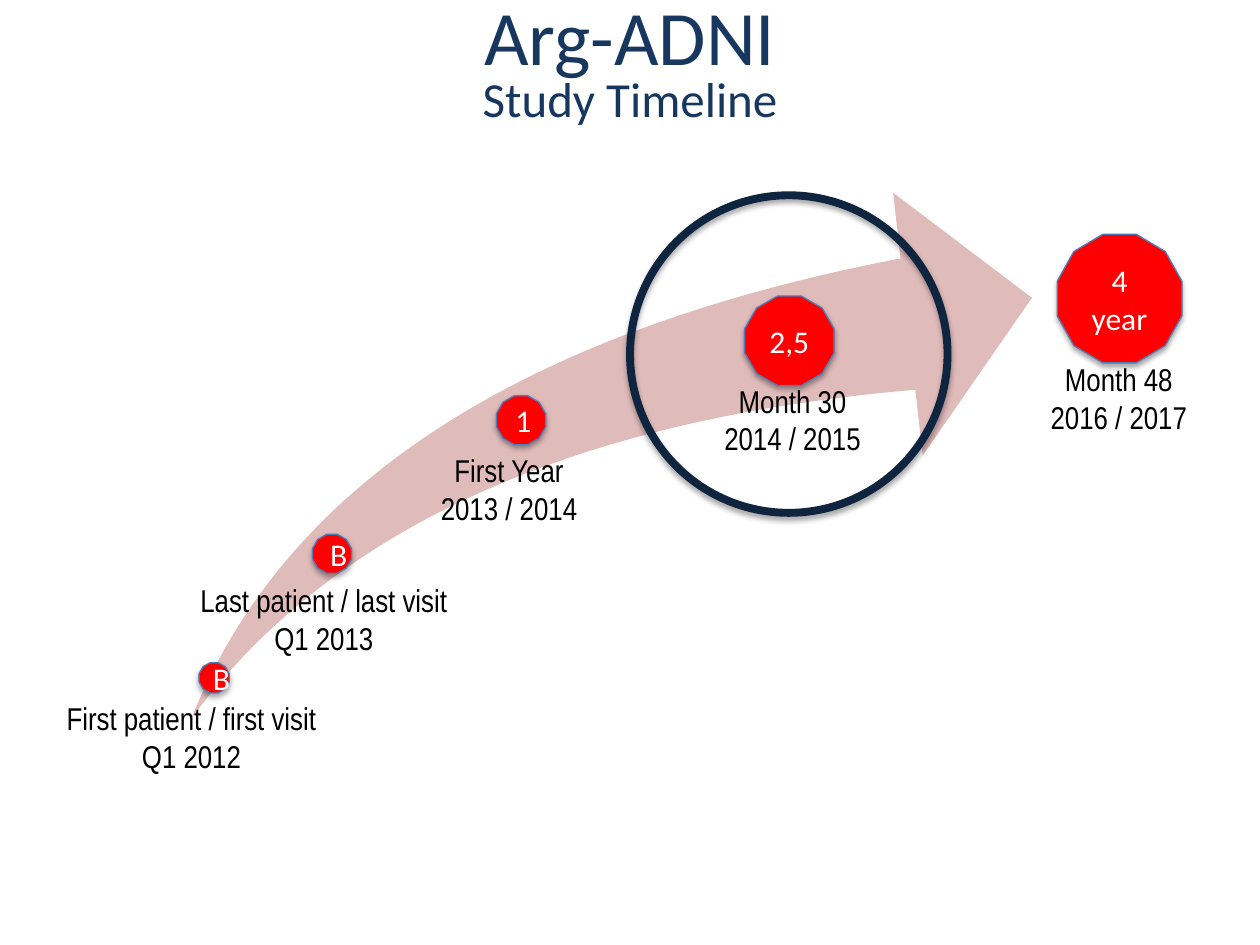
import dataclasses

import pptx
import pptx.dml.color
import pptx.enum.shapes
import pptx.enum.text
import pptx.oxml
import pptx.oxml.ns
import pptx.util

Inches = pptx.util.Inches
Pt = pptx.util.Pt
RGB = pptx.dml.color.RGBColor.from_string
SHAPE = pptx.enum.shapes.MSO_SHAPE
ANCHOR = pptx.enum.text.MSO_ANCHOR
CENTER = pptx.enum.text.PP_ALIGN.CENTER
AUTO_SIZE = pptx.enum.text.MSO_AUTO_SIZE


@dataclasses.dataclass(frozen=True)
class Theme:
    title: str = "17375E"
    arrow: str = "DFBBBA"
    marker: str = "FF0000"
    marker_line: str = "4B7EBC"
    marker_text: str = "FFFFFF"
    label: str = "000000"
    ring: str = "0F243E"
    heading_font: str = "Calibri"
    label_font: str = "Arial Narrow"
    title_size: int = 44
    subtitle_size: int = 28
    body_size: int = 18


THEME = Theme()

# Marker text, marker box, label lines, label box; boxes are relative to the timeline
MILESTONES = [
    ("B", (1.16, 3.73, 0.24, 0.24),
     "First patient / first visit\nQ1 2012", (0, 3.97, 2.2, 0.71)),
    ("B", (2.06, 2.71, 0.31, 0.31),
     "Last patient / last visit\nQ1 2013", (1.06, 3.03, 2.18, 0.71)),
    ("1", (3.52, 1.61, 0.39, 0.39),
     "First Year\n2013 / 2014", (2.97, 2, 1.3, 0.71)),
    ("2,5", (5.49, 0.82, 0.71, 0.71),
     "Month 30\n2014 / 2015", (5.22, 1.45, 1.3, 0.71)),
    ("4 year", (7.97, 0.33, 0.99, 1.02),
     "Month 48\n2016 / 2017", (7.81, 1.28, 1.3, 0.71)),
]


def within(box, part):
    """Slide position of a part given relative to a box."""
    return [Inches(v) for v in (box[0] + part[0], box[1] + part[1], *part[2:])]


def style_paragraph(p, font, size, color):
    p.alignment = CENTER
    for r in p.runs:
        r.font.name = font
        r.font.size = Pt(size)
        r.font.color.rgb = RGB(color)


def add_soft_shadow(sp):
    sp.shadow.inherit = False
    effects = sp._element.spPr.find(pptx.oxml.ns.qn("a:effectLst"))
    effects.append(pptx.oxml.parse_xml(
        f'<a:outerShdw {pptx.oxml.ns.nsdecls("a")} blurRad="{Pt(3.1)}" '
        f'dist="{Pt(1.8)}" dir="5400000" rotWithShape="0">'
        '<a:srgbClr val="000000"><a:alpha val="35000"/></a:srgbClr></a:outerShdw>'))


def add_title(s, box):
    sp = s.shapes.title
    sp.left, sp.top, sp.width, sp.height = within(box, (0, 0, *box[2:]))
    tf = sp.text_frame
    tf.text = "Arg-ADNI\nStudy Timeline"
    tf.word_wrap = True
    tf.auto_size = AUTO_SIZE.NONE
    tf.vertical_anchor = ANCHOR.TOP
    for p, size in zip(tf.paragraphs, (THEME.title_size, THEME.subtitle_size)):
        p.line_spacing = 0.8
        p.space_before = Pt(0)
        style_paragraph(p, THEME.heading_font, size, THEME.title)


def add_label(s, text, pos):
    tf = s.shapes.add_textbox(*pos).text_frame
    tf.text = text
    tf.word_wrap = False
    tf.auto_size = AUTO_SIZE.SHAPE_TO_FIT_TEXT
    for p in tf.paragraphs:
        style_paragraph(p, THEME.label_font, THEME.body_size, THEME.label)


def add_marker(s, text, pos):
    sp = s.shapes.add_shape(SHAPE.DODECAGON, *pos)
    sp.fill.solid()
    sp.fill.fore_color.rgb = RGB(THEME.marker)
    sp.line.color.rgb = RGB(THEME.marker_line)
    sp.line.width = Pt(0.75)
    add_soft_shadow(sp)
    tf = sp.text_frame
    tf.text = text
    tf.word_wrap = True
    tf.vertical_anchor = ANCHOR.MIDDLE
    style_paragraph(tf.paragraphs[0], THEME.heading_font, THEME.body_size,
                    THEME.marker_text)


def add_timeline(s, box):
    # Rising arrow
    arrow = s.shapes.add_shape(SHAPE.SWOOSH_ARROW, *within(box, (1.1, 0, 6.67, 4.17)))
    arrow.adjustments[0] = arrow.adjustments[1] = 0.25
    arrow.fill.solid()
    arrow.fill.fore_color.rgb = RGB(THEME.arrow)
    arrow.line.fill.background()
    arrow.shadow.inherit = False

    # Labels lie behind the markers
    for _, _, label, label_box in MILESTONES:
        add_label(s, label, within(box, label_box))
    for text, marker_box, _, _ in MILESTONES:
        add_marker(s, text, within(box, marker_box))

    # Ring around the current milestone
    ring = s.shapes.add_shape(SHAPE.OVAL, *within(box, (4.58, 0.02, 2.52, 2.52)))
    ring.fill.background()
    ring.line.color.rgb = RGB(THEME.ring)
    ring.line.width = Pt(4.5)
    add_soft_shadow(ring)


def main():
    prs = pptx.Presentation()
    prs.slide_width, prs.slide_height = Inches(10), Inches(7.5)
    s = prs.slides.add_slide(prs.slide_layouts[5])
    add_title(s, (0.75, 0, 8.5, 1.39))
    add_timeline(s, (0.42, 1.53, 9.11, 4.68))
    prs.save("out.pptx")


if __name__ == "__main__":
    main()
